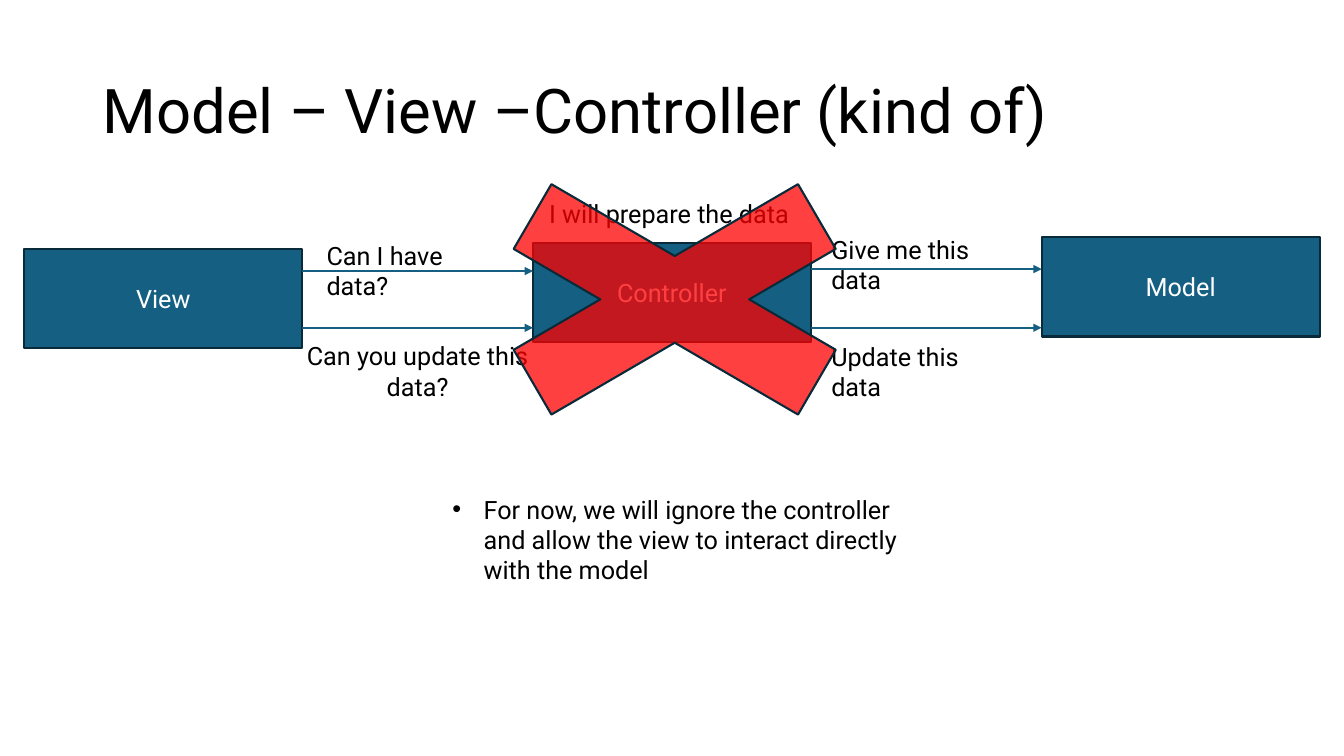
from lxml import etree
from pptx import Presentation
from pptx.dml.color import RGBColor
from pptx.enum.shapes import MSO_CONNECTOR, MSO_SHAPE
from pptx.enum.text import MSO_ANCHOR, PP_ALIGN
from pptx.oxml.ns import qn
from pptx.util import Cm, Pt

STRAIGHT = MSO_CONNECTOR.STRAIGHT
RECTANGLE = MSO_SHAPE.RECTANGLE
CROSS = MSO_SHAPE.MATH_MULTIPLY
LEFT, CENTER = PP_ALIGN.LEFT, PP_ALIGN.CENTER
TOP, MIDDLE = MSO_ANCHOR.TOP, MSO_ANCHOR.MIDDLE

FONT = "Roboto"
BLACK, WHITE = "000000", "FFFFFF"
BLUE, NAVY, RED = "156082", "092A39", "FF0000"

BOX_WIDTH, BOX_HEIGHT = 7.01, 2.51
FIRST_LEFT, BOX_STEP = 0.61, 12.82
FIRST_TOP, BOX_RISE = 6.27, 0.15


def color(hex_string):
    return RGBColor.from_string(hex_string)


def write_text(shape, text, size=18, text_color=BLACK, align=LEFT,
               anchor=TOP, line_spacing=None, bullet=False):
    frame = shape.text_frame
    frame.word_wrap = True
    frame.vertical_anchor = anchor
    paragraph = frame.paragraphs[0]
    paragraph.text = text
    paragraph.alignment = align
    if line_spacing:
        paragraph.line_spacing = line_spacing
    if bullet:
        add_bullet(paragraph)
    font = paragraph.runs[0].font
    font.name = FONT
    font.size = Pt(size)
    font.color.rgb = color(text_color)


def add_bullet(paragraph):
    properties = paragraph._p.get_or_add_pPr()
    indent = Cm(0.79)
    properties.set("marL", str(indent))
    properties.set("indent", str(-indent))
    etree.SubElement(properties, qn("a:buFont"), typeface="Arial")
    etree.SubElement(properties, qn("a:buChar"), char="•")


def add_label(slide, text, left, top, width, height=1.03, **text_format):
    label = slide.shapes.add_textbox(Cm(left), Cm(top), Cm(width), Cm(height))
    write_text(label, text, **text_format)


def add_outlined_shape(slide, kind, left, top, width, height, fill):
    shape = slide.shapes.add_shape(kind, Cm(left), Cm(top), Cm(width), Cm(height))
    shape.shadow.inherit = False
    shape.fill.solid()
    shape.fill.fore_color.rgb = color(fill)
    shape.line.color.rgb = color(NAVY)
    shape.line.width = Pt(1.5)
    return shape


def add_component(slide, name, position):
    box = add_outlined_shape(
        slide, RECTANGLE, FIRST_LEFT + position * BOX_STEP,
        FIRST_TOP - position * BOX_RISE, BOX_WIDTH, BOX_HEIGHT, BLUE)
    write_text(box, name, text_color=WHITE, align=CENTER, anchor=MIDDLE)


def add_arrow(slide, position, top):
    start = FIRST_LEFT + position * BOX_STEP + BOX_WIDTH
    end = FIRST_LEFT + (position + 1) * BOX_STEP
    arrow = slide.shapes.add_connector(STRAIGHT, Cm(start), Cm(top), Cm(end), Cm(top))
    arrow.line.color.rgb = color(BLUE)
    arrow.line.width = Pt(1.5)
    etree.SubElement(arrow.line._get_or_add_ln(), qn("a:tailEnd"), type="triangle")
    etree.SubElement(arrow._element.spPr, qn("a:effectLst"))


def add_translucent_cross(slide):
    cross = add_outlined_shape(slide, CROSS, 10.11, 3.53, 13.79, 8.03, RED)
    fill_color = cross._element.spPr.find(qn("a:solidFill"))[0]
    etree.SubElement(fill_color, qn("a:alpha"), val="75000")


def main():
    presentation = Presentation()
    presentation.slide_width = Cm(33.87)
    presentation.slide_height = Cm(19.05)
    slide = presentation.slides.add_slide(presentation.slide_layouts[6])

    add_label(slide, "Model – View –Controller (kind of)", 2.34, 1.02, 29.21, 3.68,
              size=44, anchor=MIDDLE, line_spacing=0.9)
    for position, name in enumerate(["View", "Controller", "Model"]):
        add_component(slide, name, position)
    for position, top in [(0, 6.83), (0, 8.26), (1, 6.78), (1, 8.26)]:
        add_arrow(slide, position, top)

    add_label(slide, "Can I have data?", 7.98, 5.92, 5)
    add_label(slide, "Can you update this data?", 7.44, 8.46, 6.17, 1.8, align=CENTER)
    add_label(slide, "Give me this data", 20.7, 5.77, 5.2)
    add_label(slide, "Update this data", 20.7, 8.48, 5)
    add_label(slide, "I will prepare the data", 13.59, 4.88, 6.8)
    add_label(slide,
              "For now, we will ignore the controller and allow the view "
              "to interact directly with the model",
              11.15, 12.32, 11.73, 2.57, bullet=True)
    add_translucent_cross(slide)

    presentation.save("out.pptx")


if __name__ == "__main__":
    main()
